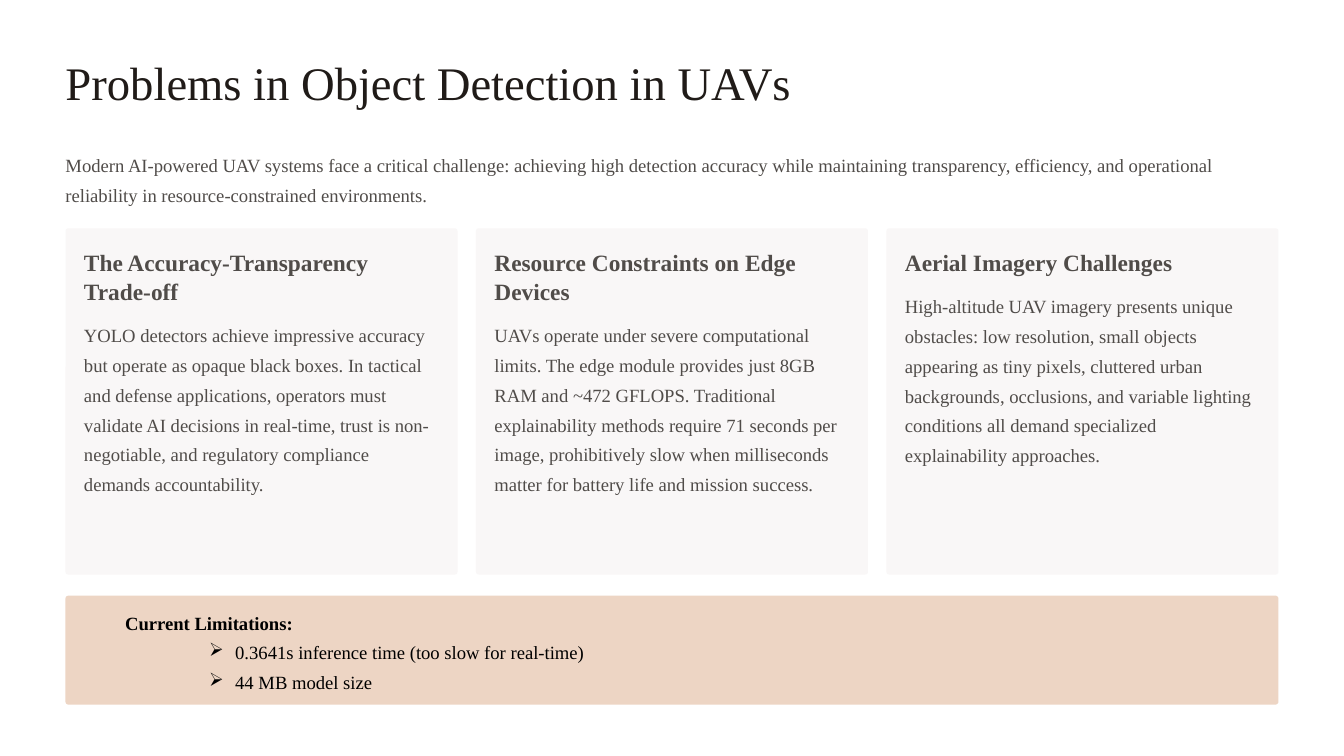
from lxml.etree import SubElement
from pptx import Presentation
from pptx.dml.color import RGBColor
from pptx.enum.shapes import MSO_SHAPE
from pptx.oxml.ns import qn
from pptx.util import Inches, Pt

WIDTH, HEIGHT = 16, 9
MARGIN, GUTTER, COLUMNS = 0.78, 0.22, 3
COLUMN = (WIDTH - 2 * MARGIN - (COLUMNS - 1) * GUTTER) / COLUMNS
INK, GREY, BLACK = "201B18", "504C49", "000000"
CARD_FILL, LIMITS_FILL = "F9F7F7", "EDD5C4"


def color(value):
    return RGBColor.from_string(value)


def write(paragraph, text, size=16, ink=GREY, bold=False, pitch=25.5, bullet=None):
    if bullet:
        properties = paragraph._p.get_or_add_pPr()
        properties.set("marL", str(Inches(1.31)))
        properties.set("indent", str(Inches(-0.31)))
        SubElement(properties, qn("a:buChar")).set("char", bullet)
    paragraph.line_spacing = Pt(pitch)
    run = paragraph.add_run()
    run.text = text
    run.font.name = "Times New Roman"
    run.font.size = Pt(size)
    run.font.bold = bold
    run.font.color.rgb = color(ink)


class GridSlide:
    """Places elements by column and gutter across, and by percent of height down."""

    def __init__(self, presentation):
        self.slide = presentation.slides.add_slide(presentation.slide_layouts[6])

    def frame(self, column, span, top, height, left_inset=0, right_inset=0):
        left = MARGIN + column * (COLUMN + GUTTER) + left_inset * GUTTER
        width = span * (COLUMN + GUTTER) - (1 + left_inset + right_inset) * GUTTER
        return (Inches(left), Inches(top * HEIGHT / 100),
                Inches(width), Inches(height * HEIGHT / 100))

    def panel(self, column, span, top, height, fill, rounding):
        panel = self.slide.shapes.add_shape(
            MSO_SHAPE.ROUNDED_RECTANGLE, *self.frame(column, span, top, height))
        panel.adjustments[0] = rounding
        panel.shadow.inherit = False
        panel.fill.solid()
        panel.fill.fore_color.rgb = color(fill)
        panel.line.fill.background()

    def text(self, column, span, top, lines, paragraphs, insets=(0, 0), **style):
        height = lines * style.get("pitch", 25.5) / 72 / HEIGHT * 100
        box = self.slide.shapes.add_textbox(
            *self.frame(column, span, top, height, *insets))
        frame = box.text_frame
        frame.word_wrap = True
        frame.margin_left = frame.margin_right = 0
        frame.margin_top = frame.margin_bottom = 0
        for index, (words, extra) in enumerate(paragraphs):
            paragraph = frame.add_paragraph() if index else frame.paragraphs[0]
            write(paragraph, words, **{**style, **extra})
        return top + height

    def card(self, column, heading, heading_lines, body, body_lines):
        self.panel(column, 1, 30.2, 45.8, CARD_FILL, 0.008)
        heading_end = self.text(column, 1, 32.7, heading_lines, [(heading, {})],
                                insets=(1, 1), size=20, bold=True, pitch=25)
        self.text(column, 1, heading_end + 1.5, body_lines, [(body, {})], insets=(1, 1))


CARDS = [
    ("The Accuracy-Transparency Trade-off", 2,
     "YOLO detectors achieve impressive accuracy but operate as opaque black boxes. "
     "In tactical and defense applications, operators must validate AI decisions in "
     "real-time, trust is non-negotiable, and regulatory compliance demands "
     "accountability.", 7),
    ("Resource Constraints on Edge Devices", 2,
     "UAVs operate under severe computational limits. The edge module provides just "
     "8GB RAM and ~472 GFLOPS. Traditional explainability methods require 71 seconds "
     "per image, prohibitively slow when milliseconds matter for battery life and "
     "mission success.", 8),
    ("Aerial Imagery Challenges", 1,
     "High-altitude UAV imagery presents unique obstacles: low resolution, small "
     "objects appearing as tiny pixels, cluttered urban backgrounds, occlusions, and "
     "variable lighting conditions all demand specialized explainability approaches.", 7),
]
INTRO = ("Modern AI-powered UAV systems face a critical challenge: achieving high "
         "detection accuracy while maintaining transparency, efficiency, and "
         "operational reliability in resource-constrained environments.")
LIMITATIONS = [
    ("Current Limitations:", {"bold": True}),
    ("0.3641s inference time (too slow for real-time)", {"bullet": "➢"}),
    ("44 MB model size", {"bullet": "➢"}),
]


def main():
    presentation = Presentation()
    presentation.slide_width = Inches(WIDTH)
    presentation.slide_height = Inches(HEIGHT)
    problems = GridSlide(presentation)
    problems.text(0, COLUMNS, 6.8, 1, [("Problems in Object Detection in UAVs", {})],
                  insets=(0, 13.36), size=40, ink=INK, pitch=50)
    problems.text(0, COLUMNS, 19.4, 2, [(INTRO, {})])
    for column, card in enumerate(CARDS):
        problems.card(column, *card)
    problems.panel(0, COLUMNS, 78.8, 14.4, LIMITS_FILL, 0.026)
    problems.text(0, COLUMNS, 79.9, 2, LIMITATIONS, insets=(3.23, 1), ink=BLACK)
    presentation.save("out.pptx")


if __name__ == "__main__":
    main()
